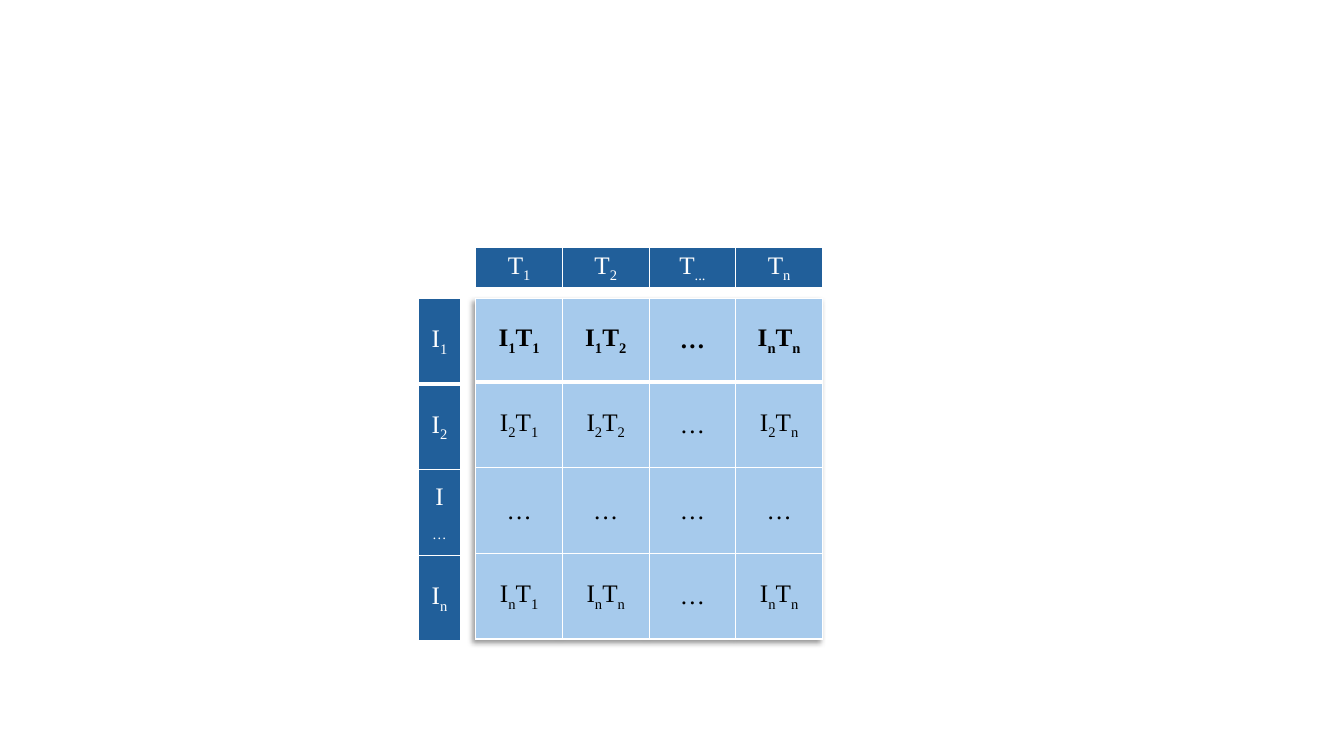
from lxml import etree
from pptx import Presentation
from pptx.dml.color import RGBColor
from pptx.enum import text as t
from pptx.oxml import ns
from pptx.util import Pt

FONT = "Times New Roman"
WHITE, BLACK, NAVY, SKY = "FFFFFF", "000000", "215F9A", "A6CAEC"
PAIRS = [
    ["I_1 T_1", "I_1 T_2", "…", "I_n T_n"],
    ["I_2 T_1", "I_2 T_2", "…", "I_2 T_n"],
    ["…", "…", "…", "…"],
    ["I_n T_1", "I_n T_n", "…", "I_n T_n"],
]
TEXTS = [["T_1", "T_2", "T_...", "T_n"]]
IMAGES = [["I_1"], ["I_2"], ["I_…"], ["I_n"]]
LEFT, TOP, WIDE, HIGH = 339.84, 213.12, 61.92, 61.2
GRIDS = [
    (PAIRS, LEFT, TOP, WIDE, [59.76] + [HIGH] * 3, SKY, BLACK, True),
    (TEXTS, LEFT, 176.4, WIDE, [29.52], NAVY, WHITE, False),
    (IMAGES, 298.8, TOP, 30.24, [HIGH] * 4, NAVY, WHITE, False),
]


def color(code):
    return RGBColor.from_string(code)


def node(root, tag, **attrs):
    return etree.SubElement(root, ns.qn("a:" + tag), attrs)


def edge(cell, row):
    props = cell._tc.get_or_add_tcPr()
    wide = {"lnT": 3 if row == 1 else 1, "lnB": 3 if row == 0 else 1}
    for spot, side in enumerate(("lnL", "lnR", "lnT", "lnB")):
        line = node(props, side, w=str(Pt(wide.get(side, 1))))
        node(node(line, "solidFill"), "srgbClr", val=WHITE)
        props.insert(spot, line)


def write(cell, words, ink, bold):
    para = cell.text_frame.paragraphs[0]
    para.alignment = t.PP_ALIGN.CENTER
    look = {"name": FONT, "size": Pt(18), "bold": bold}
    for word in words.split():
        base, _, sub = word.partition("_")
        for part, shift in ((base, "0"), (sub, "-25000")):
            if part:
                run = para.add_run()
                run.text = part
                for key, value in look.items():
                    setattr(run.font, key, value)
                run.font.color.rgb = color(ink)
                run._r.get_or_add_rPr().set("baseline", shift)


def shade(table):
    props = table._tbl.tblPr
    effect = node(props, "effectLst")
    props.insert(0, effect)
    cast = node(effect, "outerShdw", blurRad=str(Pt(4)), dist=str(Pt(3)),
                dir="8100000", algn="tr", rotWithShape="0")
    node(node(cast, "srgbClr", val=BLACK), "alpha", val="40000")


def grid(slide, rows, left, top, wide, highs, fill, ink, main):
    count = len(rows[0])
    frame = slide.shapes.add_table(len(rows), count, Pt(left), Pt(top),
                                   Pt(wide * count), Pt(sum(highs)))
    table = frame.table
    table.horz_banding = False
    for col in table.columns:
        col.width = Pt(wide)
    for r, (row, high) in enumerate(zip(rows, highs)):
        table.rows[r].height = Pt(high)
        for c, words in enumerate(row):
            cell = table.cell(r, c)
            cell.vertical_anchor = t.MSO_ANCHOR.MIDDLE
            cell.fill.solid()
            cell.fill.fore_color.rgb = color(fill)
            edge(cell, r)
            write(cell, words, ink, main and r == 0)
    if main:
        shade(table)


def main():
    deck = Presentation()
    deck.slide_width, deck.slide_height = Pt(960), Pt(540)
    slide = deck.slides.add_slide(deck.slide_layouts[6])
    for item in GRIDS:
        grid(slide, *item)
    deck.save("out.pptx")


if __name__ == "__main__":
    main()
